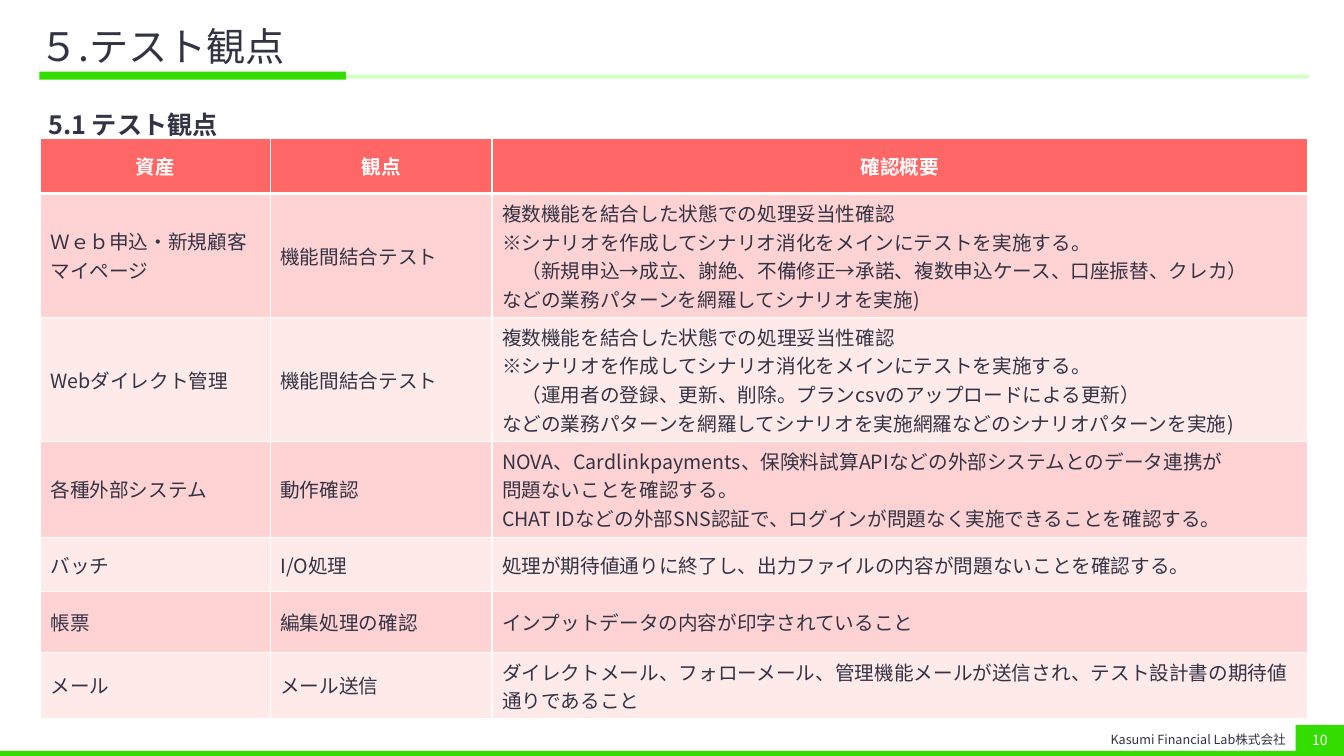
from lxml import etree
from pptx import Presentation
from pptx.dml.color import RGBColor
from pptx.enum import shapes, text
from pptx.oxml import ns
from pptx.util import Inches, Pt

FONT = "Noto Sans CJK JP"
GREEN = RGBColor(0x33, 0xDD, 0x00)
PALE_GREEN = RGBColor(0xD3, 0xFF, 0xC5)
INK = RGBColor(0x33, 0x33, 0x44)
WHITE = RGBColor(0xFF, 0xFF, 0xFF)
HEADER_RED = RGBColor(0xFF, 0x66, 0x66)
BANDS = [RGBColor(0xFF, 0xD3, 0xD3), RGBColor(0xFF, 0xEA, 0xEA)]

COLUMN_WIDTHS = [2.28, 2.2, 8.09]
ROW_HEIGHTS = [0.55, 1.23, 1.23, 0.95, 0.54, 0.6, 0.66]
VIEWPOINTS = [
    ("資産", "観点", "確認概要"),
    ("Ｗｅｂ申込・新規顧客マイページ", "機能間結合テスト",
     "複数機能を結合した状態での処理妥当性確認\n"
     "※シナリオを作成してシナリオ消化をメインにテストを実施する。\n"
     "　（新規申込→成立、謝絶、不備修正→承諾、複数申込ケース、口座振替、クレカ）\n"
     "などの業務パターンを網羅してシナリオを実施)"),
    ("Webダイレクト管理", "機能間結合テスト",
     "複数機能を結合した状態での処理妥当性確認\n"
     "※シナリオを作成してシナリオ消化をメインにテストを実施する。\n"
     "　（運用者の登録、更新、削除。プランcsvのアップロードによる更新）\n"
     "などの業務パターンを網羅してシナリオを実施網羅などのシナリオパターンを実施)"),
    ("各種外部システム", "動作確認",
     "NOVA、Cardlinkpayments、保険料試算APIなどの外部システムとのデータ連携が\n"
     "問題ないことを確認する。\n"
     "CHAT IDなどの外部SNS認証で、ログインが問題なく実施できることを確認する。"),
    ("バッチ", "I/O処理",
     "処理が期待値通りに終了し、出力ファイルの内容が問題ないことを確認する。"),
    ("帳票", "編集処理の確認", "インプットデータの内容が印字されていること"),
    ("メール", "メール送信",
     "ダイレクトメール、フォローメール、管理機能メールが送信され、"
     "テスト設計書の期待値通りであること"),
]


def write(frame, content, size=14, color=INK, bold=False,
          align=text.PP_ALIGN.LEFT, line_spacing=None):
    """Fill a text frame, one paragraph for each line of content."""
    frame.word_wrap = True
    for index, line in enumerate(content.split("\n")):
        para = frame.add_paragraph() if index else frame.paragraphs[0]
        para.alignment = align
        para.line_spacing = line_spacing
        span = para.add_run()
        span.text = line
        span.font.name = FONT
        span.font.size = Pt(size)
        span.font.bold = bold
        span.font.color.rgb = color
        east_asian = etree.SubElement(span.font._element, ns.qn("a:ea"))
        east_asian.set("typeface", FONT)


def add_bar(page, left, top, width, height, color):
    bar = page.shapes.add_shape(shapes.MSO_SHAPE.RECTANGLE, Inches(left),
                                Inches(top), Inches(width), Inches(height))
    bar.shadow.inherit = False
    bar.fill.solid()
    bar.fill.fore_color.rgb = color
    bar.line.fill.background()
    return bar


def add_label(page, left, top, width, height, content,
              anchor=text.MSO_ANCHOR.MIDDLE, **style):
    box = page.shapes.add_textbox(Inches(left), Inches(top),
                                  Inches(width), Inches(height))
    write(box.text_frame, content, **style)
    box.text_frame.vertical_anchor = anchor
    return box


def set_borders(cell, bottom):
    """Put white lines round a cell, ahead of its fill."""
    properties = cell._tc.get_or_add_tcPr()
    widths = {"a:lnL": 1, "a:lnR": 1, "a:lnT": 1, "a:lnB": bottom}
    for index, (tag, width) in enumerate(widths.items()):
        line = etree.Element(ns.qn(tag), w=str(Pt(width)))
        fill = etree.SubElement(line, ns.qn("a:solidFill"))
        etree.SubElement(fill, ns.qn("a:srgbClr"), val=str(WHITE))
        properties.insert(index, line)


def add_header(page, left, top, width):
    # Title over a two-tone rule
    accent = 3.04
    add_bar(page, left, top + 0.51, accent, 0.08, GREEN)
    add_bar(page, left + accent, top + 0.54, width - accent, 0.04, PALE_GREEN)
    title = add_label(page, left, top, width, 0.56, "５.テスト観点",
                      size=28, line_spacing=0.9)
    title.text_frame.margin_left = 0
    title.text_frame.margin_right = Inches(0.16)


def add_viewpoint_table(page, left, top):
    table = page.shapes.add_table(
        len(VIEWPOINTS), len(COLUMN_WIDTHS), Inches(left), Inches(top),
        Inches(sum(COLUMN_WIDTHS)), Inches(sum(ROW_HEIGHTS))).table
    for column, width in zip(table.columns, COLUMN_WIDTHS):
        column.width = Inches(width)
    for number, (row, height) in enumerate(zip(table.rows, ROW_HEIGHTS)):
        row.height = Inches(height)
        is_header = number == 0
        for cell, content in zip(row.cells, VIEWPOINTS[number]):
            cell.vertical_anchor = text.MSO_ANCHOR.MIDDLE
            cell.fill.solid()
            if is_header:
                cell.fill.fore_color.rgb = HEADER_RED
                write(cell.text_frame, content, color=WHITE, bold=True,
                      align=text.PP_ALIGN.CENTER)
            else:
                cell.fill.fore_color.rgb = BANDS[(number - 1) % 2]
                write(cell.text_frame, content)
            set_borders(cell, bottom=3 if is_header else 1)


def add_footer(page, width, bottom):
    # Base line, company name and page number
    add_bar(page, 0, bottom - 0.05, width, 0.05, GREEN)
    add_label(page, width - 2.47, bottom - 0.3, 1.99, 0.27,
              "Kasumi Financial Lab株式会社", size=9,
              align=text.PP_ALIGN.RIGHT)
    number = add_bar(page, width - 0.48, bottom - 0.31, 0.48, 0.31, GREEN)
    number.text_frame.vertical_anchor = text.MSO_ANCHOR.MIDDLE
    write(number.text_frame, "10", size=10, color=WHITE,
          align=text.PP_ALIGN.CENTER)


def main():
    deck = Presentation()
    deck.slide_width, deck.slide_height = Inches(13.33), Inches(7.5)
    page = deck.slides.add_slide(deck.slide_layouts[6])
    add_header(page, 0.39, 0.2, 12.59)
    add_label(page, 0.38, 0.95, 12.6, 0.42, "5.1 テスト観点", size=18,
              bold=True, line_spacing=Pt(28), anchor=text.MSO_ANCHOR.TOP)
    add_viewpoint_table(page, 0.4, 1.37)
    add_footer(page, 13.33, 7.5)
    deck.save("out.pptx")


if __name__ == "__main__":
    main()
